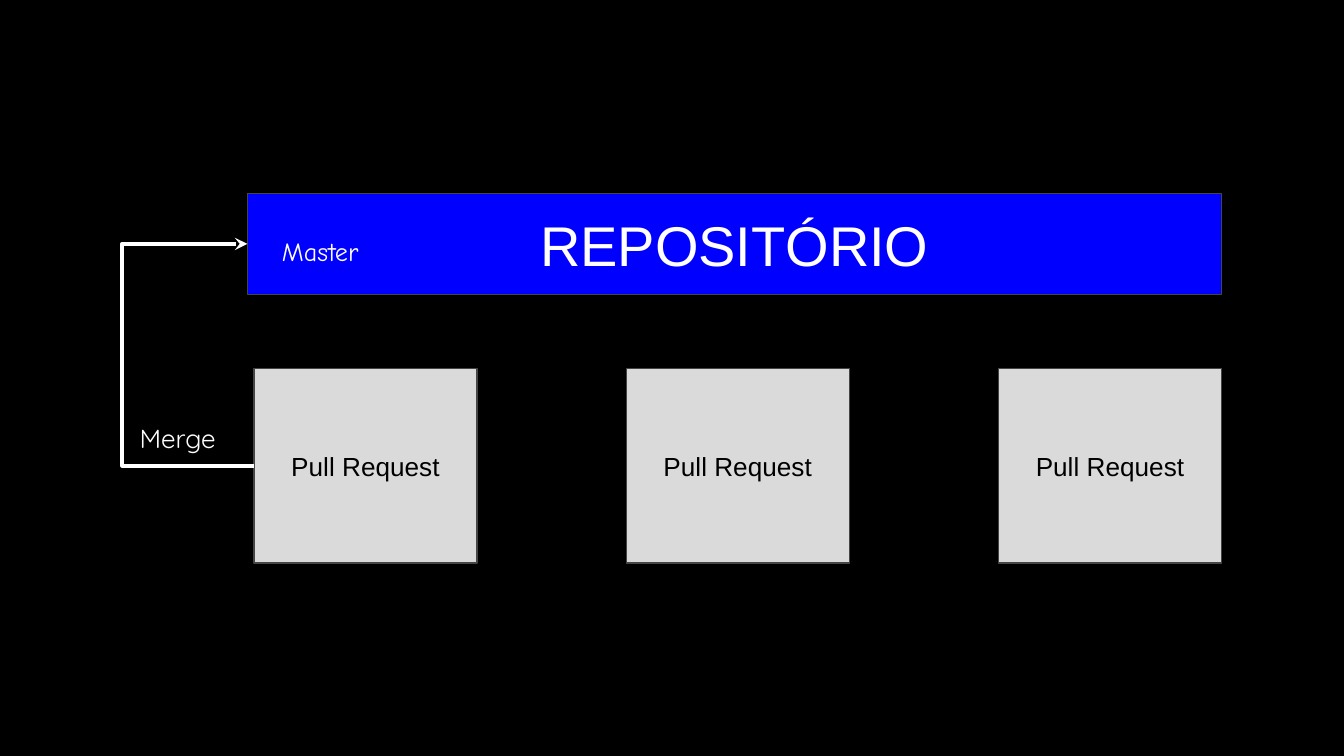
from dataclasses import dataclass

from lxml.etree import SubElement
from pptx import Presentation
from pptx.dml.color import RGBColor
from pptx.enum.shapes import MSO_CONNECTOR, MSO_SHAPE
from pptx.enum.text import MSO_ANCHOR, PP_ALIGN
from pptx.oxml.ns import qn
from pptx.shapes.autoshape import Shape
from pptx.slide import Slide
from pptx.util import Inches, Pt


@dataclass(frozen=True)
class Theme:
    background: str = "000000"
    repository: str = "0000FF"
    request: str = "DADADA"
    outline: str = "454545"
    light: str = "FFFFFF"
    dark: str = "000000"
    title_size: float = 30
    label_size: float = 14
    outline_width: float = 0.75
    arrow_width: float = 2.25
    body_font: str = "Arial"
    merge_font: str = "Quicksand"
    master_font: str = "Comic Neue"


@dataclass(frozen=True)
class Area:
    left: float
    top: float
    width: float
    height: float

    def lengths(self) -> tuple:
        return tuple(Inches(v) for v in (self.left, self.top, self.width, self.height))


@dataclass(frozen=True)
class Label:
    text: str
    size: float
    font: str
    color: str


THEME = Theme()
SLIDE_WIDTH = 10
SLIDE_HEIGHT = SLIDE_WIDTH * 9 / 16
LEFT_SIDE = 1


def write_label(shape: Shape, label: Label, align: PP_ALIGN, anchor: MSO_ANCHOR) -> None:
    frame = shape.text_frame
    frame.word_wrap = True
    frame.vertical_anchor = anchor
    frame.margin_left = frame.margin_right = Inches(0.1)
    frame.margin_top = frame.margin_bottom = Inches(0.1)
    paragraph = frame.paragraphs[0]
    paragraph.alignment = align
    run = paragraph.add_run()
    run.text = label.text
    run.font.size = Pt(label.size)
    run.font.name = label.font
    run.font.color.rgb = RGBColor.from_string(label.color)


def add_block(slide: Slide, area: Area, fill: str, label: Label) -> Shape:
    block = slide.shapes.add_shape(MSO_SHAPE.RECTANGLE, *area.lengths())
    block.shadow.inherit = False
    block.fill.solid()
    block.fill.fore_color.rgb = RGBColor.from_string(fill)
    block.line.color.rgb = RGBColor.from_string(THEME.outline)
    block.line.width = Pt(THEME.outline_width)
    write_label(block, label, PP_ALIGN.CENTER, MSO_ANCHOR.MIDDLE)
    return block


def add_caption(slide: Slide, area: Area, label: Label) -> None:
    caption = slide.shapes.add_textbox(*area.lengths())
    write_label(caption, label, PP_ALIGN.LEFT, MSO_ANCHOR.TOP)


def add_merge_arrow(slide: Slide, source: Shape, target: Shape, lane: float) -> None:
    """Leave the source's left side, climb along the lane, enter the target's left side."""
    arrow = slide.shapes.add_connector(MSO_CONNECTOR.ELBOW, 0, 0, 0, 0)
    arrow.begin_connect(source, LEFT_SIDE)
    arrow.end_connect(target, LEFT_SIDE)
    arrow.line.color.rgb = RGBColor.from_string(THEME.light)
    arrow.line.width = Pt(THEME.arrow_width)

    # Bend position, in thousandths of a percent of the connector's width
    bend = (arrow.begin_x - Inches(lane)) / (arrow.begin_x - arrow.end_x)
    properties = arrow._element.spPr
    adjustments = properties.find(qn("a:prstGeom")).find(qn("a:avLst"))
    SubElement(adjustments, qn("a:gd"), name="adj1", fmla=f"val {round(bend * 100000)}")
    SubElement(properties.find(qn("a:ln")), qn("a:tailEnd"), type="stealth")
    SubElement(properties, qn("a:effectLst"))


def main() -> None:
    deck = Presentation()
    deck.slide_width, deck.slide_height = Inches(SLIDE_WIDTH), Inches(SLIDE_HEIGHT)
    slide = deck.slides.add_slide(deck.slide_layouts[6])
    slide.background.fill.solid()
    slide.background.fill.fore_color.rgb = RGBColor.from_string(THEME.background)

    # Repository bar
    repository_label = Label("REPOSITÓRIO", THEME.title_size, THEME.body_font, THEME.light)
    repository = add_block(
        slide, Area(1.84, 1.44, 7.25, 0.75), THEME.repository, repository_label
    )

    # Row of pull requests
    request_label = Label("Pull Request", THEME.label_size, THEME.body_font, THEME.dark)
    requests = [
        add_block(
            slide, Area(1.89 + 2.77 * column, 2.74, 1.66, 1.45), THEME.request, request_label
        )
        for column in range(3)
    ]

    # Merge path into the master branch
    add_merge_arrow(slide, requests[0], repository, lane=0.91)
    add_caption(
        slide,
        Area(0.94, 3.04, 0.93, 0.32),
        Label("Merge", THEME.label_size, THEME.merge_font, THEME.light),
    )
    add_caption(
        slide,
        Area(2, 1.65, 0.93, 0.32),
        Label("Master", THEME.label_size, THEME.master_font, THEME.light),
    )

    deck.save("out.pptx")


if __name__ == "__main__":
    main()
